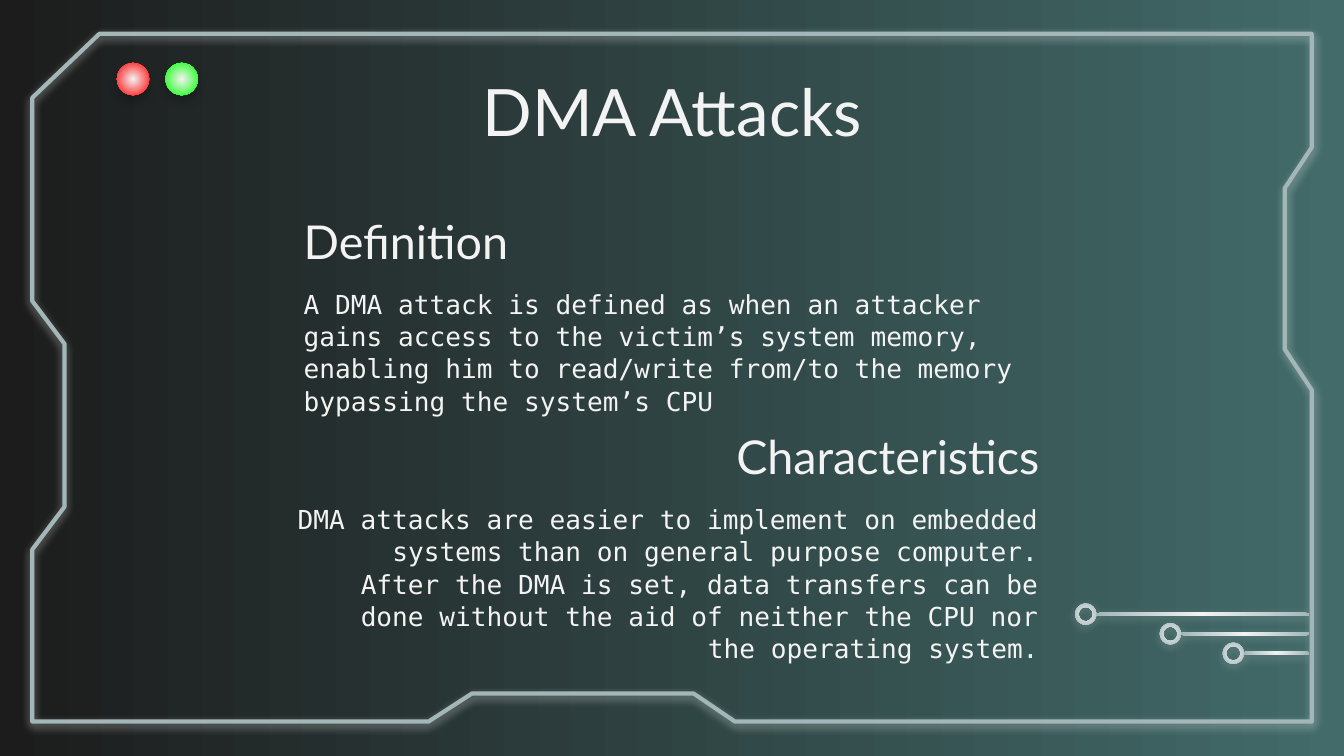
"""Build the DMA Attacks slide."""
from lxml.etree import SubElement
from pptx import Presentation
from pptx.dml.color import RGBColor as Color
from pptx.enum.shapes import MSO_SHAPE as Shape
from pptx.enum.text import MSO_ANCHOR as Anchor, PP_ALIGN as Align
from pptx.oxml import parse_xml
from pptx.oxml.ns import nsdecls, qn
from pptx.util import Cm, Pt

COLORS = {
    "dark": "1C1C1C", "teal": "426B6A", "light": "F3F3F3", "steel": "A3B7B9",
    "red": "FF0000", "green": "00FF00", "black": "000000",
}
FRAME = [
    (24.79, 13.64), (13.89, 13.64), (13.11, 13.11), (8.92, 13.11), (8.1, 13.64),
    (0.61, 13.64), (0.61, 10.39), (1.22, 9.58), (1.22, 6.5), (0.61, 5.69),
    (0.61, 1.85), (1.88, 0.64), (24.79, 0.64), (24.79, 2.79), (24.28, 3.56),
    (24.28, 6.6), (24.79, 7.37),
]
HEADING = {"name": "Lato", "size": Pt(25)}
BODY = {"name": "DejaVu Sans Mono", "size": Pt(14)}
TEXTS = [
    ("Definition", (5.49, 3.91, 14.4, 1.27), HEADING, Align.LEFT),
    ("Characteristics", (5.49, 7.98, 14.4, 1.27), HEADING, Align.RIGHT),
    ("A DMA attack is defined as when an attacker gains access to the victim’s "
     "system memory, enabling him to read/write from/to the memory bypassing "
     "the system’s CPU", (5.49, 5.18, 14.4, 1.78), BODY, Align.LEFT),
    ("DMA attacks are easier to implement on embedded systems than on general "
     "purpose computer. After the DMA is set, data transfers can be done without "
     "the aid of neither the CPU nor the operating system.",
     (4.42, 9.25, 15.47, 1.78), BODY, Align.RIGHT),
    ("DMA Attacks", (2, 1.5, 21.41, 1.19), {"name": "Lato", "size": Pt(35)}, Align.CENTER),
]
HANGING = {"marL": Cm(1.27), "indent": Cm(-0.89)}
CIRCUIT_CENTERS = [20.52, 22.12, 23.31]
CIRCUIT_TOP, CIRCUIT_STEP, CIRCUIT_END = 11.61, 0.37, 24.74
RING, BAR = 0.4, 0.06
LIGHTS = ["red", "green"]
LIGHT_LEFT, LIGHT_TOP, LIGHT_STEP, LIGHT_SIZE = 2.21, 1.19, 0.92, 0.61


def color(name):
    return Color.from_string(COLORS[name])


def add_shadow(shape, name, opacity, distance=1.5):
    shape.shadow.inherit = False
    effects = shape._element.spPr.find(qn("a:effectLst"))
    shadow = SubElement(effects, qn("a:outerShdw"), blurRad=str(Pt(4.5)),
                        dist=str(Pt(distance)), dir="5400000", algn="bl", rotWithShape="0")
    tint = SubElement(shadow, qn("a:srgbClr"), val=COLORS[name])
    SubElement(tint, qn("a:alpha"), val=str(opacity * 1000))


def add_glowing(slide, kind, box, edge):
    shape = slide.shapes.add_shape(kind, *map(Cm, box))
    shape.line.fill.background()
    properties = shape._element.spPr
    gradient = parse_xml(
        f'<a:gradFill {nsdecls("a")} rotWithShape="1"><a:gsLst>'
        f'<a:gs pos="0"><a:srgbClr val="{COLORS["light"]}"/></a:gs>'
        f'<a:gs pos="100000"><a:srgbClr val="{COLORS[edge]}"/></a:gs></a:gsLst>'
        '<a:path path="circle"><a:fillToRect l="50000" t="50000" r="50000" b="50000"/>'
        '</a:path></a:gradFill>')
    properties.insert(properties.index(properties.find(qn("a:ln"))), gradient)
    return shape


def add_frame(slide):
    points = [(Cm(x), Cm(y)) for x, y in FRAME]
    builder = slide.shapes.build_freeform(*points[0])
    builder.add_line_segments(points[1:], close=True)
    frame = builder.convert_to_shape()
    frame.fill.background()
    frame.line.color.rgb = color("steel")
    frame.line.width = Pt(2.25)
    add_shadow(frame, "light", 50)


def add_text(slide, text, box, font_format, alignment):
    text_frame = slide.shapes.add_textbox(*map(Cm, box)).text_frame
    is_body = font_format is BODY
    margins = {f"margin_{side}": Cm(0.25) for side in ("left", "top", "right", "bottom")}
    anchor = Anchor.TOP if is_body else Anchor.MIDDLE
    for name, value in {**margins, "word_wrap": True, "vertical_anchor": anchor}.items():
        setattr(text_frame, name, value)
    paragraph = text_frame.paragraphs[0]
    paragraph.text = text
    paragraph.alignment = alignment
    if is_body:
        paragraph.line_spacing = 1.03
        if alignment == Align.RIGHT:
            for name, value in HANGING.items():
                paragraph._p.get_or_add_pPr().set(name, str(value))
    font = paragraph.runs[0].font
    for name, value in font_format.items():
        setattr(font, name, value)
    font.color.rgb = color("light")


def add_circuit(slide):
    for row, center in enumerate(CIRCUIT_CENTERS):
        middle = CIRCUIT_TOP + row * CIRCUIT_STEP
        start = center + RING / 2
        bar = add_glowing(slide, Shape.RECTANGLE,
                          (start, middle - BAR / 2, CIRCUIT_END - start, BAR), "steel")
        ring = add_glowing(slide, Shape.DONUT,
                           (center - RING / 2, middle - RING / 2, RING, RING), "steel")
        ring.adjustments[0] = 0.16
        for shape in (bar, ring):
            add_shadow(shape, "steel", 50)


def main():
    presentation = Presentation()
    presentation.slide_width, presentation.slide_height = Cm(25.4), Cm(14.29)
    slide = presentation.slides.add_slide(presentation.slide_layouts[6])
    background = slide.background.fill
    background.gradient()
    background.gradient_angle = 0
    for stop, name in zip(background.gradient_stops, ("dark", "teal")):
        stop.color.rgb = color(name)
    add_frame(slide)
    for item in TEXTS:
        add_text(slide, *item)
    add_circuit(slide)
    for index, name in enumerate(LIGHTS):
        box = (LIGHT_LEFT + index * LIGHT_STEP, LIGHT_TOP, LIGHT_SIZE, LIGHT_SIZE)
        add_shadow(add_glowing(slide, Shape.OVAL, box, name), "black", 20, 3.8)
    presentation.save("out.pptx")


if __name__ == "__main__":
    main()
